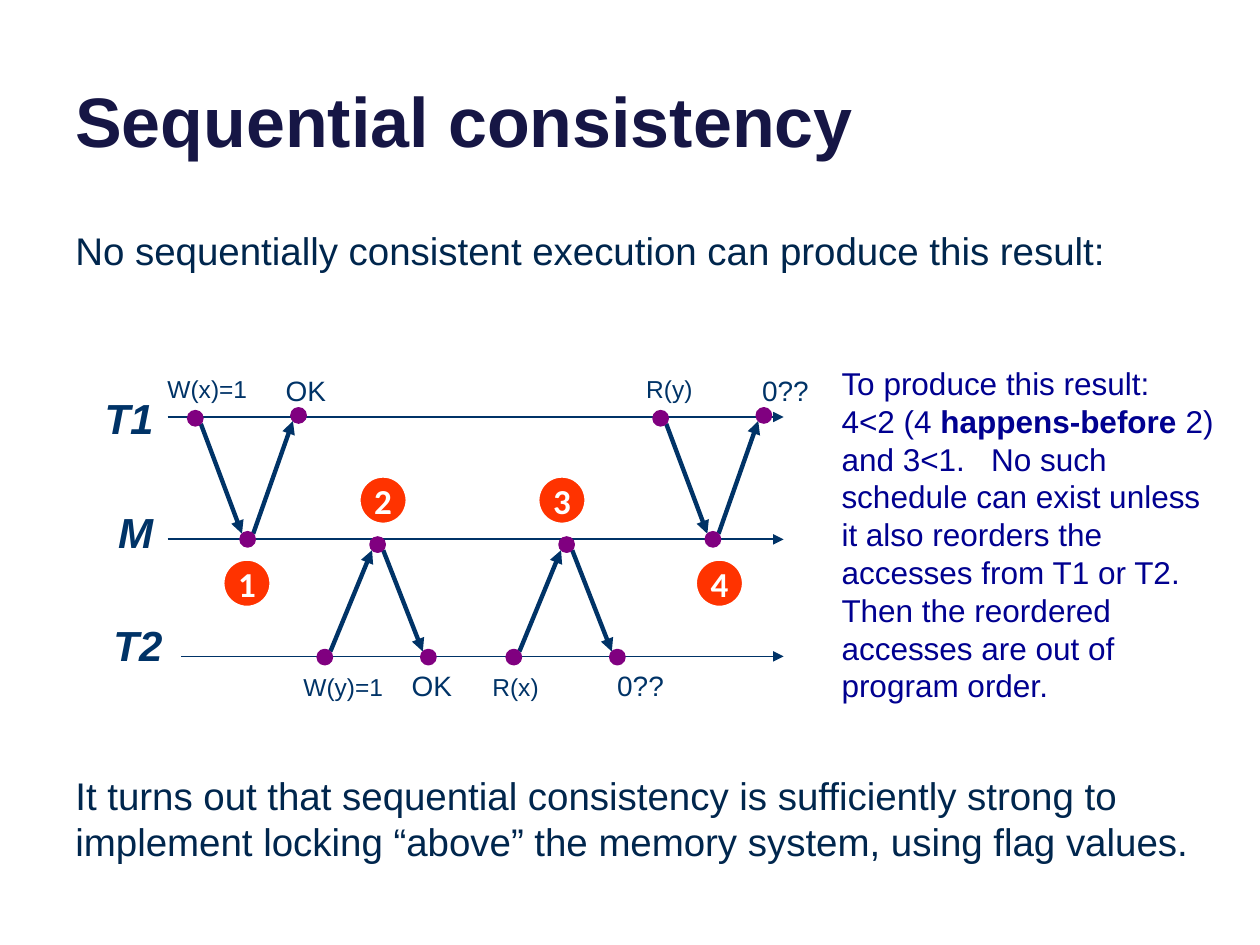
"""Build a slide on sequential consistency with a timeline of two threads and memory."""
from lxml import etree
from pptx import Presentation
from pptx.dml.color import RGBColor
from pptx.enum.shapes import MSO_CONNECTOR, MSO_SHAPE
from pptx.enum.text import MSO_ANCHOR, PP_ALIGN
from pptx.oxml.ns import qn
from pptx.util import Pt

STRAIGHT, OVAL = MSO_CONNECTOR.STRAIGHT, MSO_SHAPE.OVAL
TOP, MIDDLE, BOTTOM = MSO_ANCHOR.TOP, MSO_ANCHOR.MIDDLE, MSO_ANCHOR.BOTTOM
LEFT, CENTER = PP_ALIGN.LEFT, PP_ALIGN.CENTER

COLORS = {"title": "161645", "body": "00264D", "ink": "003367", "note": "000090",
          "dot": "800080", "badge": "FF3300", "white": "FFFFFF"}

TITLE = "Sequential consistency"
STATEMENTS = [
    ("No sequentially consistent execution can produce this result:", 126),
    ("It turns out that sequential consistency is sufficiently strong to implement "
     "locking “above” the memory system, using flag values.", 437.8),
]
NOTE = [
    [("To produce this result:", False)],
    [("4<2 (4 ", False), ("happens-before ", True),
     ("2) and 3<1.   No such schedule can exist unless it also reorders the accesses "
      "from T1 or T2.  Then the reordered accesses are out of program order.", False)],
]
TIMELINES = [
    ("T1", (44.6, 220.3, 58.3, 36.7), 95.8, 238.3),
    ("M", (60.5, 288, 33.1, 31.7), 95.8, 308.2),
    ("T2", (49.7, 350.6, 58.3, 36), 103.7, 375.1),
]
TIMELINE_END = 447.8
THREAD_1 = [(111.6, 239), (141.5, 308.2), (170.6, 237.4)]
THREAD_2 = [(185.6, 375.5), (215.8, 311.2), (244.8, 375.5)]
EXCHANGES = [(THREAD_1, 0), (THREAD_1, 265.9), (THREAD_2, 0), (THREAD_2, 108)]
EVENTS = [
    ("W(x)=1", 14, 88.6, 210.2), ("OK", 16, 156.2, 210.2),
    ("R(y)", 14, 362.2, 210.2), ("0??", 16, 428.4, 210.2),
    ("W(y)=1", 14, 166.3, 380.2), ("OK", 16, 228.2, 378.7),
    ("R(x)", 14, 274.3, 380.2), ("0??", 16, 345.6, 378.7),
]
BADGES = [("1", 126, 318.2), ("2", 203.8, 270.7), ("3", 306, 270.7), ("4", 396, 318.2)]
DOT, BADGE, GAP = 8.6, 30.2, 3.2


def color(name):
    return RGBColor.from_string(COLORS[name])


def write(frame, paragraphs, size, ink, align=LEFT, anchor=TOP, font="Arial",
          italic=False, before=0, wrap=True):
    frame.word_wrap = wrap
    frame.vertical_anchor = anchor
    for index, spans in enumerate(paragraphs):
        para = frame.paragraphs[0] if index == 0 else frame.add_paragraph()
        para.alignment = align
        para.space_before = Pt(before)
        for text, bold in spans:
            span = para.add_run()
            span.text = text
            span.font.name = font
            span.font.size = Pt(size)
            span.font.bold = bold
            span.font.italic = italic
            span.font.color.rgb = color(ink)


def add_text(page, place, paragraphs, size, ink, **style):
    box = page.shapes.add_textbox(*map(Pt, place))
    write(box.text_frame, paragraphs, size, ink, **style)


def add_arrow(page, start, end, width):
    arrow = page.shapes.add_connector(STRAIGHT, *map(Pt, (*start, *end)))
    arrow.line.color.rgb = color("ink")
    arrow.line.width = Pt(width)
    etree.SubElement(arrow.line._get_or_add_ln(), qn("a:tailEnd"), type="triangle")
    etree.SubElement(arrow._element.spPr, qn("a:effectLst"))


def add_circle(page, left, top, size, fill, line, width):
    circle = page.shapes.add_shape(OVAL, *map(Pt, (left, top, size, size)))
    circle.shadow.inherit = False
    circle.fill.solid()
    circle.fill.fore_color.rgb = color(fill)
    circle.line.color.rgb = color(line)
    circle.line.width = Pt(width)
    return circle


def add_exchange(page, points, shift):
    points = [(x + shift, y) for x, y in points]
    for (x1, y1), (x2, y2) in zip(points, points[1:]):
        drop = GAP if y2 > y1 else -GAP
        add_arrow(page, (x1 + GAP, y1 + drop), (x2 - GAP, y2 - drop), 2.5)
    for x, y in points:
        add_circle(page, x - DOT / 2, y - DOT / 2, DOT, "dot", "dot", 1)


def main():
    deck = Presentation()
    deck.slide_width, deck.slide_height = Pt(720), Pt(540)
    page = deck.slides.add_slide(deck.slide_layouts[6])

    add_text(page, (36, -26.6, 648, 122.4), [[(TITLE, True)]], 40, "title", anchor=BOTTOM)
    for text, top in STATEMENTS:
        add_text(page, (36, top, 653.8, 59.8), [[(text, False)]], 22, "body", before=9)
    for name, place, left, y in TIMELINES:
        add_arrow(page, (left, y), (TIMELINE_END, y), 1)
        add_text(page, place, [[(name, True)]], 24, "ink",
                 align=CENTER, anchor=MIDDLE, italic=True)
    for points, shift in EXCHANGES:
        add_exchange(page, points, shift)
    for text, size, left, top in EVENTS:
        width, height = (64, 24.5) if size == 14 else (48, 26.6)
        add_text(page, (left, top, width, height), [[(text, False)]], size, "ink")
    add_text(page, (473.8, 204.5, 228.2, 203.8), NOTE, 18, "note")
    for number, left, top in BADGES:
        badge = add_circle(page, left, top, BADGE, "badge", "white", 4.5)
        write(badge.text_frame, [[(number, True)]], 20, "white", align=CENTER,
              anchor=MIDDLE, font="Calibri", wrap=False)

    deck.save("out.pptx")


if __name__ == "__main__":
    main()
